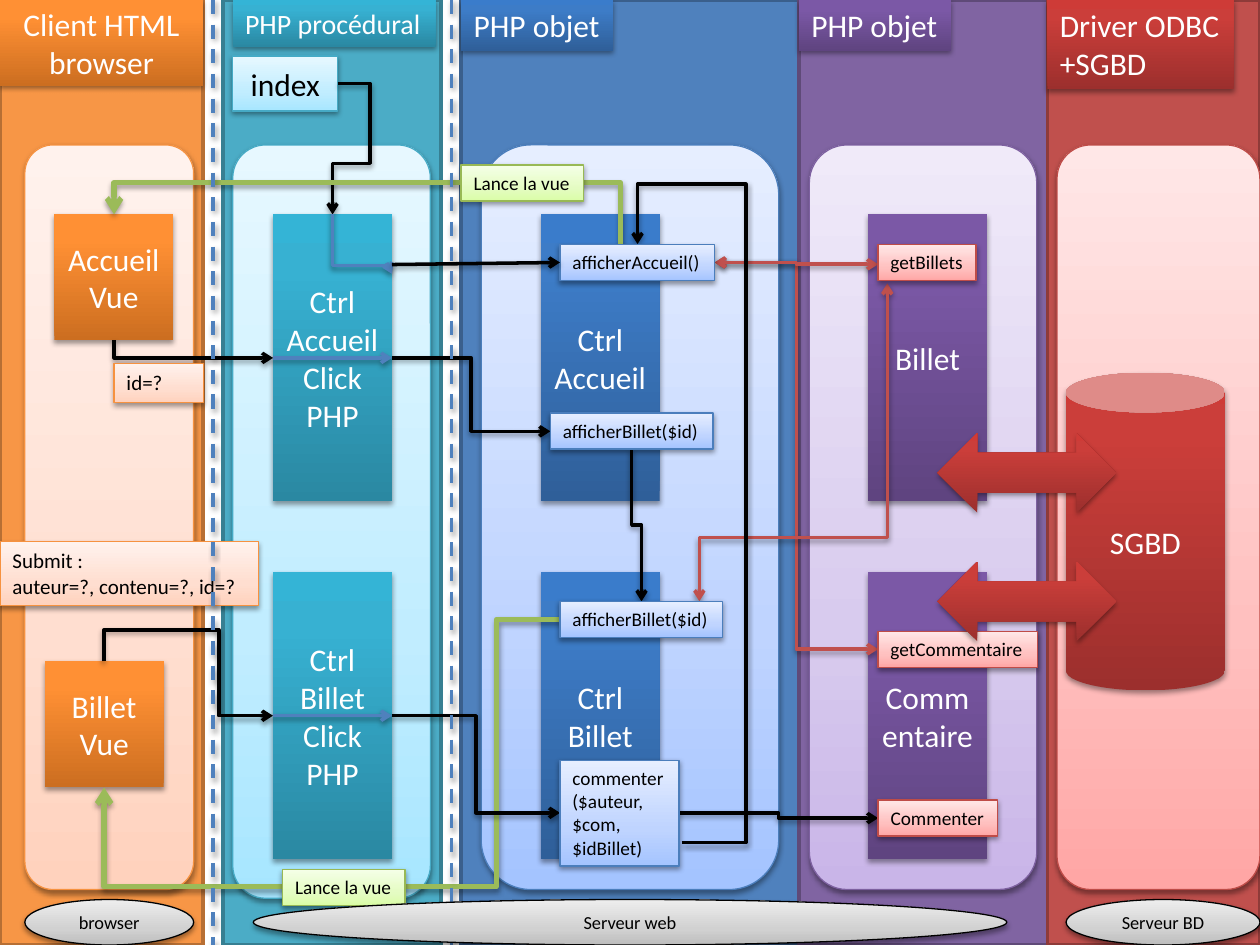
import math

import copy
import lxml.etree
import pptx
import pptx.dml.color
import pptx.enum.dml
import pptx.enum.shapes
import pptx.enum.text
import pptx.oxml.ns
import pptx.util

Pt = pptx.util.Pt
qn = pptx.oxml.ns.qn
SHAPE = pptx.enum.shapes.MSO_SHAPE
CONNECTOR = pptx.enum.shapes.MSO_CONNECTOR
color = pptx.dml.color.RGBColor.from_string

BLACK, WHITE = color("000000"), color("FFFFFF")
BLUE, RED, GREEN = color("4F81BD"), color("C0504D"), color("9BBB59")
PURPLE, ORANGE, TEAL = color("8064A2"), color("F79646"), color("4BACC6")
BLUE_EDGE, RED_EDGE, PURPLE_EDGE = color("3A5F8C"), color("8E3B39"), color("5F4A78")
ORANGE_EDGE, TEAL_EDGE = color("B76F34"), color("377F92")

# Gradients run from bottom to top: three colours, then the outline
PALE_STOPS, STRONG_STOPS = (0, 0.35, 1), (0, 0.8, 1)
PALE_BLUE = [color(c) for c in ("A4C4FF", "BFD4FF", "E6EEFF", "4B7EBC")]
PALE_RED = [color(c) for c in ("FFA6A5", "FFC0BF", "FFE7E7", "BF4C48")]
PALE_PURPLE = [color(c) for c in ("C9B5E8", "D8CBEE", "F0EAF9", "7D60A0")]
PALE_TEAL = [color(c) for c in ("A7E6FF", "C1EDFF", "E7F8FF", "46AAC5")]
PALE_ORANGE = [color(c) for c in ("FFD2BD", "FFDED0", "FFF2ED", "F69240")]
PALE_GREEN = [color(c) for c in ("DAFDA7", "E4FCC2", "F5FFE7", "98B955")]
PALE_GREY = [color(c) for c in ("BDBDBD", "D1D1D1", "EEEEEE", "000000")]
STRONG_BLUE = [color(c) for c in ("2F5F99", "3D7CC7", "3A7CCB")]
STRONG_RED = [color(c) for c in ("9C2F2D", "CB3E3A", "CE3B37")]
STRONG_PURPLE = [color(c) for c in ("5F4480", "7B58A6", "7C57A8")]
STRONG_TEAL = [color(c) for c in ("2A88A2", "37B1D2", "34B4D6")]
STRONG_ORANGE = [color(c) for c in ("CC6E20", "FF9034", "FF9136")]

prs = pptx.Presentation()
prs.slide_width, prs.slide_height = Pt(720), Pt(540)
slide = prs.slides.add_slide(prs.slide_layouts[6])


def add_box(text, at, colors, kind=SHAPE.RECTANGLE, size=18, label=False, wrap=True):
    """Add a gradient shape; a label is left-aligned and grows with its text."""
    box = slide.shapes.add_shape(kind, *[Pt(v) for v in at])
    pale = len(colors) == 4
    box.fill.gradient()
    box.fill.gradient_angle = 90
    stop_list = box._element.spPr.find(".//" + qn("a:gsLst"))
    stop_list.append(copy.deepcopy(stop_list[-1]))
    positions = PALE_STOPS if pale else STRONG_STOPS
    for stop, position, rgb in zip(box.fill.gradient_stops, positions, colors):
        stop.position, stop.color.rgb = position, rgb
    if pale:
        box.line.color.rgb, box.line.width = colors[3], Pt(0.75)
    else:
        box.line.fill.background()
    frame = box.text_frame
    frame.text = text
    frame.word_wrap = wrap
    frame.vertical_anchor = pptx.enum.text.MSO_ANCHOR.MIDDLE
    if label:
        frame.vertical_anchor = pptx.enum.text.MSO_ANCHOR.TOP
        frame.auto_size = pptx.enum.text.MSO_AUTO_SIZE.SHAPE_TO_FIT_TEXT
    align = pptx.enum.text.PP_ALIGN
    for paragraph in frame.paragraphs:
        paragraph.alignment = align.LEFT if label else align.CENTER
        paragraph.font.name, paragraph.font.size = "Calibri", Pt(size)
        paragraph.font.color.rgb = BLACK if pale else WHITE
    return box


def add_link(start, end, rgb, bends=None, turn=0, width=2, head=False, dash=False):
    """Add a line; bends are the elbow adjustments and turn its rotation in degrees."""
    cos, sin = math.cos(math.radians(turn)), math.sin(math.radians(turn))
    dx, dy = end[0] - start[0], end[1] - start[1]
    half_x, half_y = (dx * cos + dy * sin) / 2, (dy * cos - dx * sin) / 2
    mid_x, mid_y = (start[0] + end[0]) / 2, (start[1] + end[1]) / 2
    link = slide.shapes.add_connector(
        CONNECTOR.STRAIGHT if bends is None else CONNECTOR.ELBOW,
        Pt(mid_x - half_x), Pt(mid_y - half_y), Pt(mid_x + half_x), Pt(mid_y + half_y))
    link.line.color.rgb, link.line.width = rgb, Pt(width)
    properties = link._element.spPr
    if bends is not None:
        geometry = properties.find(qn("a:prstGeom"))
        geometry.set("prst", f"bentConnector{len(bends) + 2}")
        for number, bend in enumerate(bends, 1):
            lxml.etree.SubElement(geometry.find(qn("a:avLst")), qn("a:gd"), name=f"adj{number}",
                                  fmla=f"val {round(bend * 100000)}")
    if turn:
        properties.find(qn("a:xfrm")).set("rot", str(turn * 60000))
    if dash:
        link.line.dash_style = pptx.enum.dml.MSO_LINE.DASH
    else:
        outline = properties.find(qn("a:ln"))
        for end_tag in ("a:headEnd", "a:tailEnd") if head else ("a:tailEnd",):
            lxml.etree.SubElement(outline, qn(end_tag), type="arrow")
    return link


# Columns
columns = [(0, 116, ORANGE, ORANGE_EDGE), (127.5, 124.5, TEAL, TEAL_EDGE),
           (263.5, 193, BLUE, BLUE_EDGE), (456.5, 142, PURPLE, PURPLE_EDGE),
           (598.5, 121.5, RED, RED_EDGE)]
for left, width, rgb, edge in columns:
    column = slide.shapes.add_shape(SHAPE.RECTANGLE, Pt(left), 0, Pt(width), Pt(540))
    column.shadow.inherit = False
    column.fill.solid()
    column.fill.fore_color.rgb = rgb
    column.line.color.rgb, column.line.width = edge, Pt(2)

for left, width, height, colors in [
        (275, 170, 425.5, PALE_BLUE), (604, 116, 425.5, PALE_RED), (462.5, 130, 425.5, PALE_PURPLE),
        (133, 113, 430.5, PALE_TEAL), (14.2, 96.5, 425.5, PALE_ORANGE)]:
    add_box("", (left, 82.8, width, height), colors, kind=SHAPE.ROUNDED_RECTANGLE)

# Views, controllers and models
ROW_1, ROW_2, CARD_W, CARD_H = 122.5, 327, 68, 164
add_box("Accueil\nVue", (31, ROW_1, CARD_W, 72), STRONG_ORANGE)
add_box("Billet\nVue", (25.5, 378, CARD_W, 72), STRONG_ORANGE)
click_cards = [add_box(f"Ctrl\n{name}\nClick\nPHP", (156, top, CARD_W, CARD_H), STRONG_TEAL)
               for name, top in (("Accueil", ROW_1), ("Billet", ROW_2))]
for text, left, top, colors in [
        ("Ctrl\nAccueil", 309, ROW_1, STRONG_BLUE), ("Billet", 496, ROW_1, STRONG_PURPLE),
        ("Ctrl\nBillet", 309, ROW_2, STRONG_BLUE), ("Commentaire", 496, ROW_2, STRONG_PURPLE)]:
    add_box(text, (left, top, CARD_W, CARD_H), colors)
add_box("index", (133, 32, 60, 31.5), PALE_TEAL)

# Calls between the layers
add_link((65.2, 194.5), (156, 204.5), BLACK, bends=(), turn=270)
add_link((192.96, 47.7), (190.08, 122.5), BLACK, bends=(-6.44, 0.61))
add_link((361, 256.5), (366.6, 343.6), BLACK, bends=(0.5,), turn=270)
add_link((408.4, 150), (501.8, 371), RED, bends=(0.5,), head=True)
add_link((354.5, 139.5), (65.2, 122.5), GREEN, bends=(0, 2.06), turn=180, width=3)
add_link((320, 354), (59.5, 450), GREEN, bends=(0.14, 1.59), turn=180, width=3)
add_link((59.5, 378), (156, 409), BLACK, bends=(-0.58, 0.68), turn=270)
add_link((388, 464.5), (501.8, 467.5), BLACK, bends=(0.5,))
add_link((190, 122.5), (224, 156.5), BLUE, bends=(0.86,), turn=270)
add_link((224, 409), (320, 464.5), BLACK, bends=(0.5,))
add_link((224, 204.5), (314.5, 246.5), BLACK, bends=(0.5,))
add_link((408.4, 150), (501.8, 151), RED, bends=(0.5,), head=True)
add_link((399.6, 343.6), (507, 162), RED, bends=(0.2,), turn=90, head=True)
add_link((389.5, 481.5), (364.3, 139.5), BLACK, bends=(0, -1.46, 1.1), turn=270)

# Methods
LABEL_H = 20.6
for text, left, top, width, colors in [
        ("afficherBillet($id)", 320, 343.6, 93, PALE_BLUE),
        ("afficherBillet($id)", 314.5, 236, 93, PALE_BLUE),
        ("getBillets", 501.8, 139.7, 56, PALE_RED),
        ("getCommentaire", 501.8, 360.8, 91, PALE_RED),
        ("Commenter", 501.8, 457.2, 68.4, PALE_RED),
        ("Lance la vue", 263.5, 94.3, 70, PALE_GREEN),
        ("Lance la vue", 161.5, 496.8, 70, PALE_GREEN)]:
    add_box(text, (left, top, width, LABEL_H), colors, size=11, label=True, wrap=False)
home_method = add_box("afficherAccueil()", (320, 139.7, 88.4, LABEL_H), PALE_BLUE,
                      size=11, label=True, wrap=False)
add_box("commenter($auteur,\n$com,\n$idBillet)", (320, 434.5, 68, 60.5), PALE_BLUE,
        size=11, label=True)

for card, middle in zip(click_cards, (ROW_1 + CARD_H / 2, ROW_2 + CARD_H / 2)):
    through = add_link((156, middle), (224, middle), BLUE)
    through.begin_connect(card, 1)
    through.end_connect(card, 3)
home_call = add_link((224, 151.2), (320, 150), BLACK)
home_call.end_connect(home_method, 1)

# Database
add_box("SGBD", (609.2, 213, 90.7, 181.5), STRONG_RED, kind=SHAPE.CAN)
for top in (247.5, 321):
    add_box("", (535.7, top, 102.2, 45.4), STRONG_RED, kind=SHAPE.LEFT_RIGHT_ARROW)

# Request parameters, layer borders and headings
add_box("id=?", (65.2, 207.6, 51, 22.5), PALE_ORANGE, size=12, label=True)
add_box("Submit :\nauteur=?, contenu=?, id=?", (0, 309.6, 147.6, 36.4), PALE_ORANGE,
        size=12, label=True)
for x in (121.7, 258):
    add_link((x, 0), (x, 540), BLUE, dash=True)
add_box("Client HTML\nbrowser", (0, 0, 116, 49), STRONG_ORANGE)
for text, left, width, height, colors, size in [
        ("PHP procédural", 133, 116, 26.7, STRONG_TEAL, 16),
        ("PHP objet", 263.5, 87, 29, STRONG_BLUE, 18),
        ("PHP objet", 456.5, 87, 29, STRONG_PURPLE, 18),
        ("Driver ODBC\n+SGBD", 598.5, 106.5, 51, STRONG_RED, 18)]:
    add_box(text, (left, 0, width, height), colors, size=size, label=True, wrap=False)
for text, left, width in [("browser", 14.2, 96.5), ("Serveur web", 144.7, 430.6),
                          ("Serveur BD", 609.2, 110.8)]:
    add_box(text, (left, 514, width, 26), PALE_GREY, kind=SHAPE.OVAL, size=10.5)

# Soft shadow under everything but the columns
for item in list(slide.shapes)[len(columns):]:
    effects = lxml.etree.SubElement(item._element.spPr, qn("a:effectLst"))
    shadow = lxml.etree.SubElement(effects, qn("a:outerShdw"), blurRad=str(Pt(3.1)),
                                   dist=str(Pt(1.6)), dir="5400000", rotWithShape="0")
    black = lxml.etree.SubElement(shadow, qn("a:srgbClr"), val=str(BLACK))
    lxml.etree.SubElement(black, qn("a:alpha"), val="38000")

prs.save("out.pptx")
